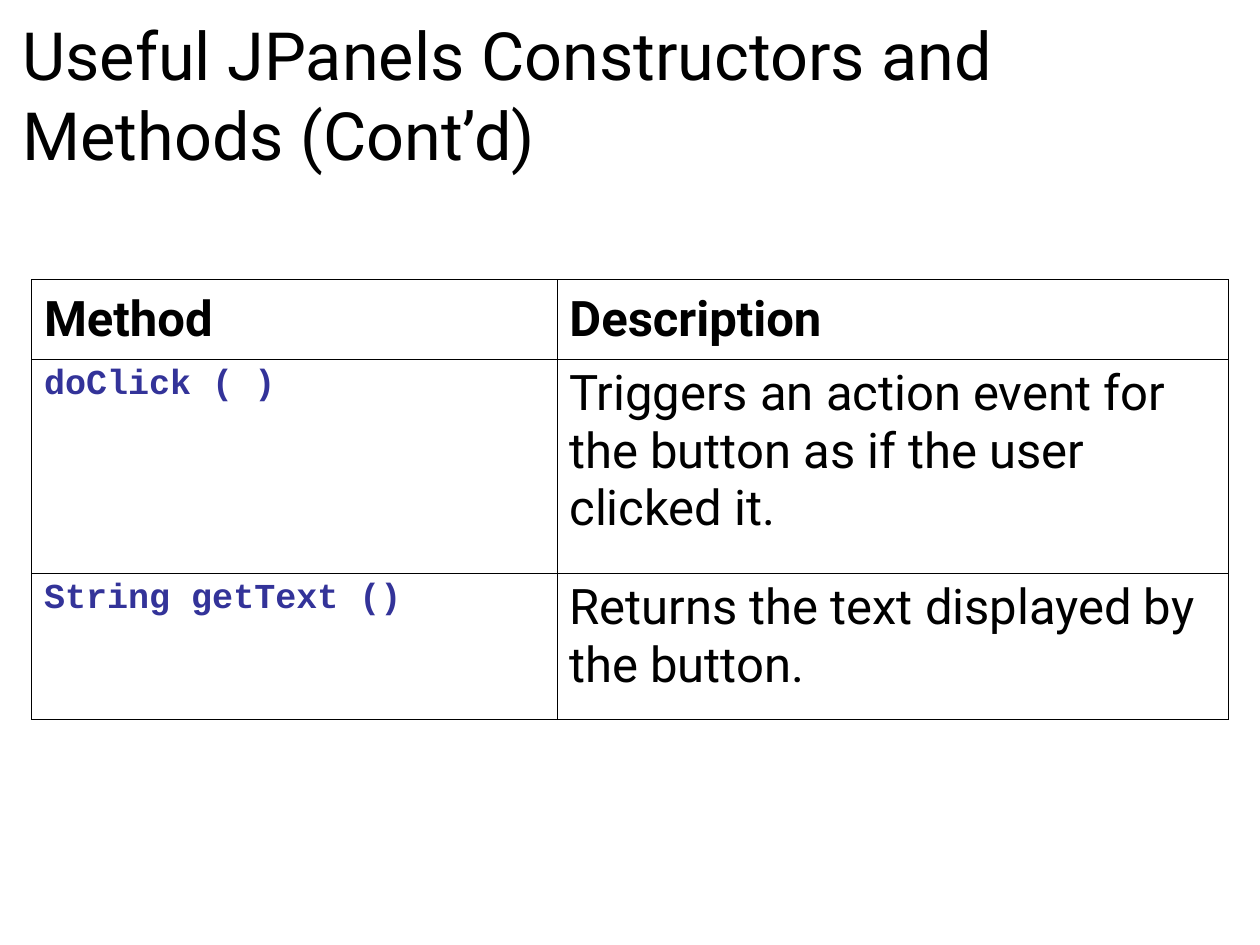
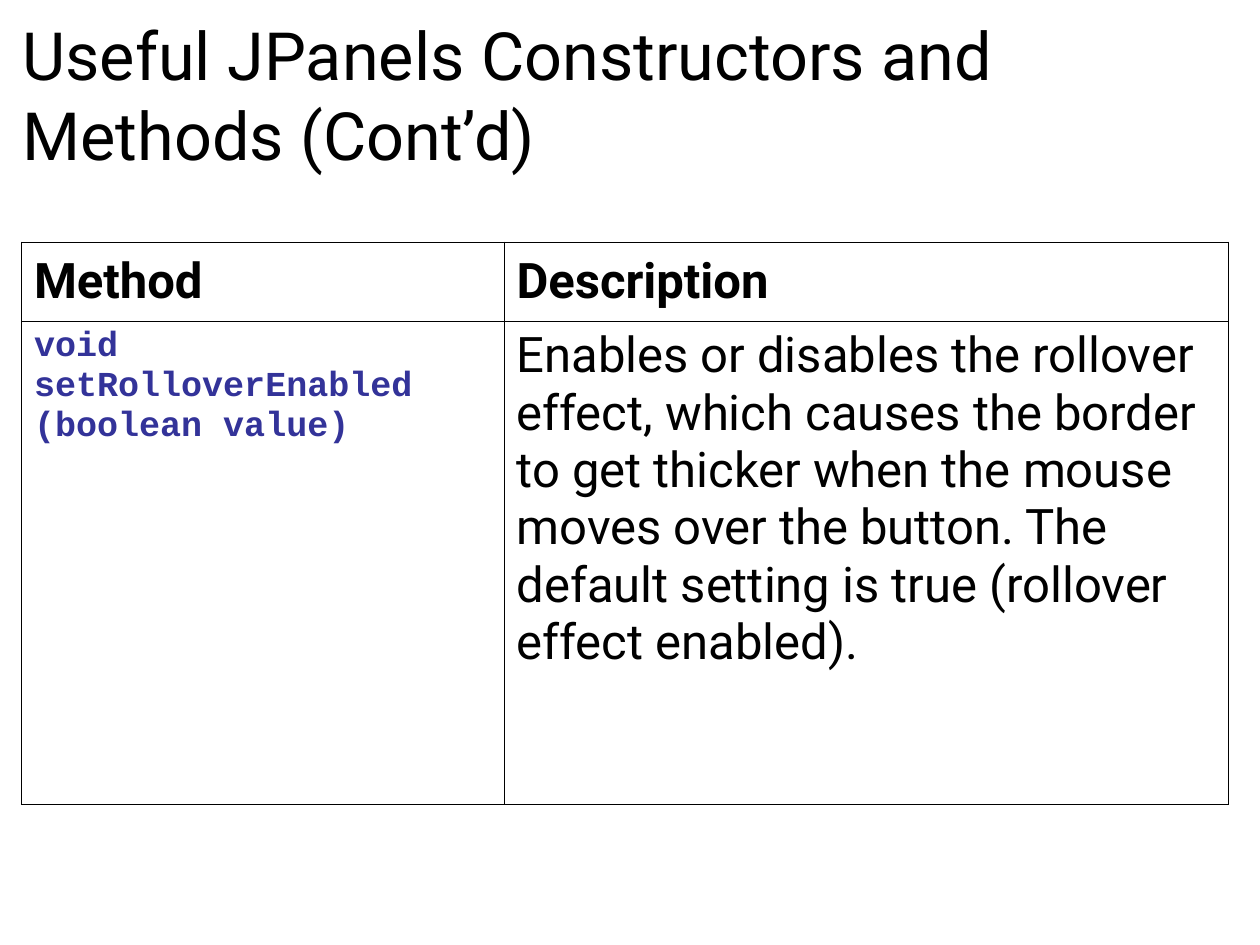
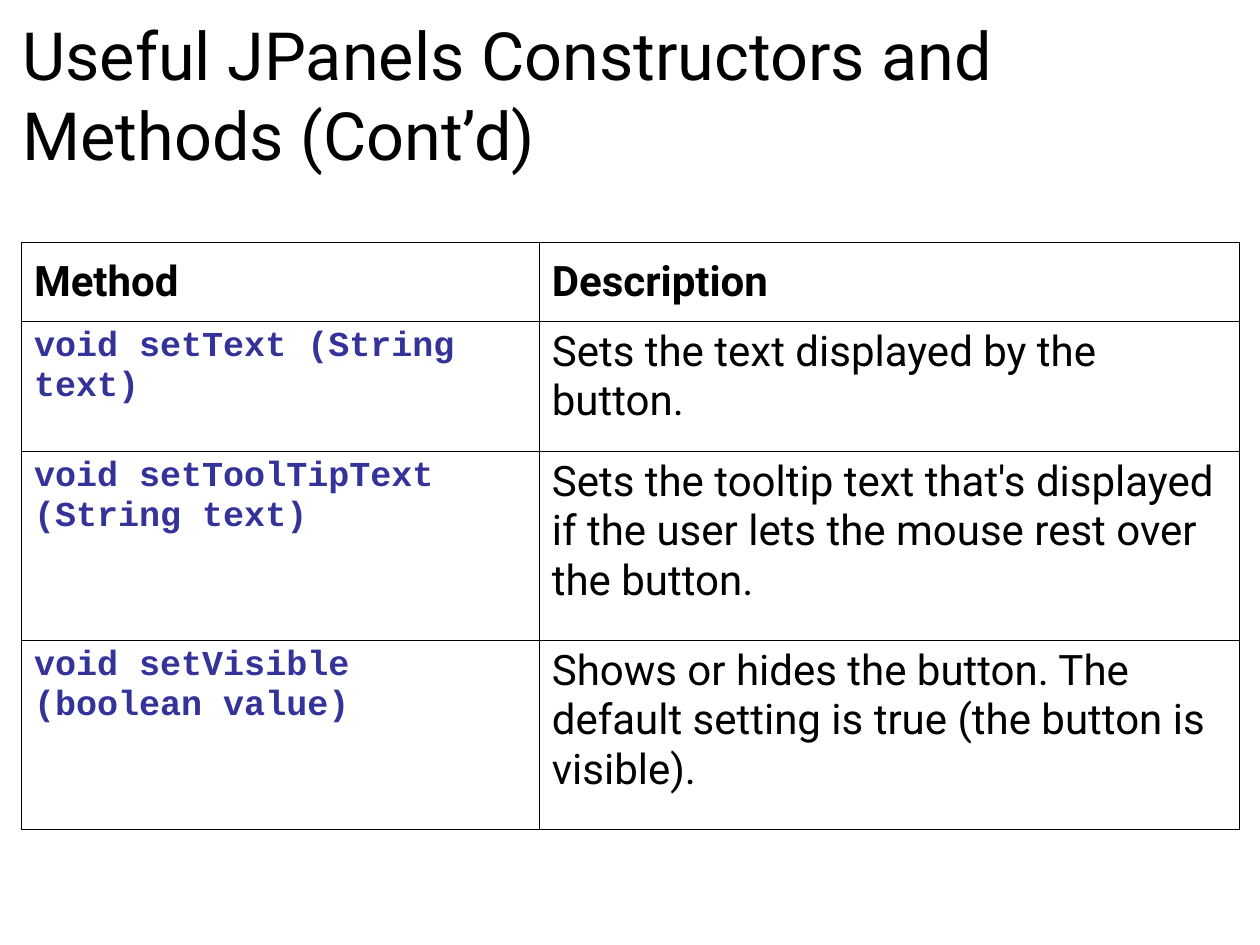
from lxml import etree
from pptx import Presentation
from pptx.dml.color import RGBColor
from pptx.enum.text import MSO_ANCHOR
from pptx.oxml.ns import qn
from pptx.util import Inches, Pt

TOP, MIDDLE = MSO_ANCHOR.TOP, MSO_ANCHOR.MIDDLE

COLORS = {"text": "000000", "code": "333399", "border": "000000"}
TEXT_FONT, CODE_FONT = "Roboto", "Courier New"
TITLE_SIZE, CODE_SIZE = 38, 20
BORDER_WIDTH = Pt(0.45)
HEADER_HEIGHT = 0.63
HEADINGS = ("Method", "Description")
TITLE = "Useful JPanels Constructors and Methods (Cont’d)"

# One entry per slide; each row is (height, method, description)
METHOD_TABLES = [
    {"left": 0.25, "top": 2.22, "columns": (4.17, 5.33), "size": 28, "rows": [
        (1.7, "doClick ( )",
         "Triggers an action event for the button as if the user clicked it."),
        (1.16, "String getText ()",
         "Returns the text displayed by the button."),
    ]},
    {"left": 0.17, "top": 1.92, "columns": (3.83, 5.75), "size": 28, "rows": [
        (3.83, "void setRolloverEnabled (boolean value)",
         "Enables or disables the rollover effect, which causes the border to "
         "get thicker when the mouse moves over the button. The default "
         "setting is true (rollover effect enabled)."),
    ]},
    {"left": 0.17, "top": 1.92, "columns": (4.11, 5.56), "size": 24, "rows": [
        (1.03, "void setText (String text)",
         "Sets the text displayed by the button."),
        (1.5, "void setToolTipText (String text)",
         "Sets the tooltip text that's displayed if the user lets the mouse "
         "rest over the button."),
        (1.5, "void setVisible (boolean value)",
         "Shows or hides the button. The default setting is true (the button "
         "is visible)."),
    ]},
]


class MethodDeck:
    """Holds the shared style and the current slide."""

    def __init__(self):
        self.deck = Presentation()
        self.deck.slide_width = Inches(10)
        self.deck.slide_height = Inches(7.5)
        self.slide = None

    def add_slide(self):
        self.slide = self.deck.slides.add_slide(self.deck.slide_layouts[6])

    def set_text(self, frame, text, size, font=TEXT_FONT, color="text", bold=False):
        frame.text = text
        frame.word_wrap = True
        style = frame.paragraphs[0].runs[0].font
        style.name, style.size, style.bold = font, Pt(size), bold
        style.color.rgb = RGBColor.from_string(COLORS[color])

    def add_title(self, text):
        box = self.slide.shapes.add_textbox(
            Inches(0.08), Inches(0.06), Inches(8.25), Inches(1.57))
        self.set_text(box.text_frame, text, TITLE_SIZE)

    def outline(self, cell):
        properties = cell._tc.get_or_add_tcPr()
        for position, side in enumerate(("lnL", "lnR", "lnT", "lnB")):
            line = etree.Element(qn(f"a:{side}"), w=str(BORDER_WIDTH))
            fill = etree.SubElement(line, qn("a:solidFill"))
            etree.SubElement(fill, qn("a:srgbClr"), val=COLORS["border"])
            properties.insert(position, line)

    def fill_cell(self, cell, text, size, anchor=TOP, **style):
        cell.fill.background()
        cell.vertical_anchor = anchor
        self.outline(cell)
        self.set_text(cell.text_frame, text, size, **style)

    def add_method_table(self, left, top, columns, size, rows):
        heights = [HEADER_HEIGHT] + [row[0] for row in rows]
        table = self.slide.shapes.add_table(
            len(heights), len(columns), Inches(left), Inches(top),
            Inches(sum(columns)), Inches(sum(heights))).table
        table.horz_banding = False
        for column, width in zip(table.columns, columns):
            column.width = Inches(width)
        for row, height in zip(table.rows, heights):
            row.height = Inches(height)

        # Header row
        for index, heading in enumerate(HEADINGS):
            self.fill_cell(table.cell(0, index), heading, size, MIDDLE, bold=True)

        # Method rows
        for index, (_, method, description) in enumerate(rows, start=1):
            self.fill_cell(table.cell(index, 0), method, CODE_SIZE,
                           font=CODE_FONT, color="code", bold=True)
            self.fill_cell(table.cell(index, 1), description, size)


def main():
    builder = MethodDeck()
    for method_table in METHOD_TABLES:
        builder.add_slide()
        builder.add_title(TITLE)
        builder.add_method_table(**method_table)
    builder.deck.save("out.pptx")


if __name__ == "__main__":
    main()
